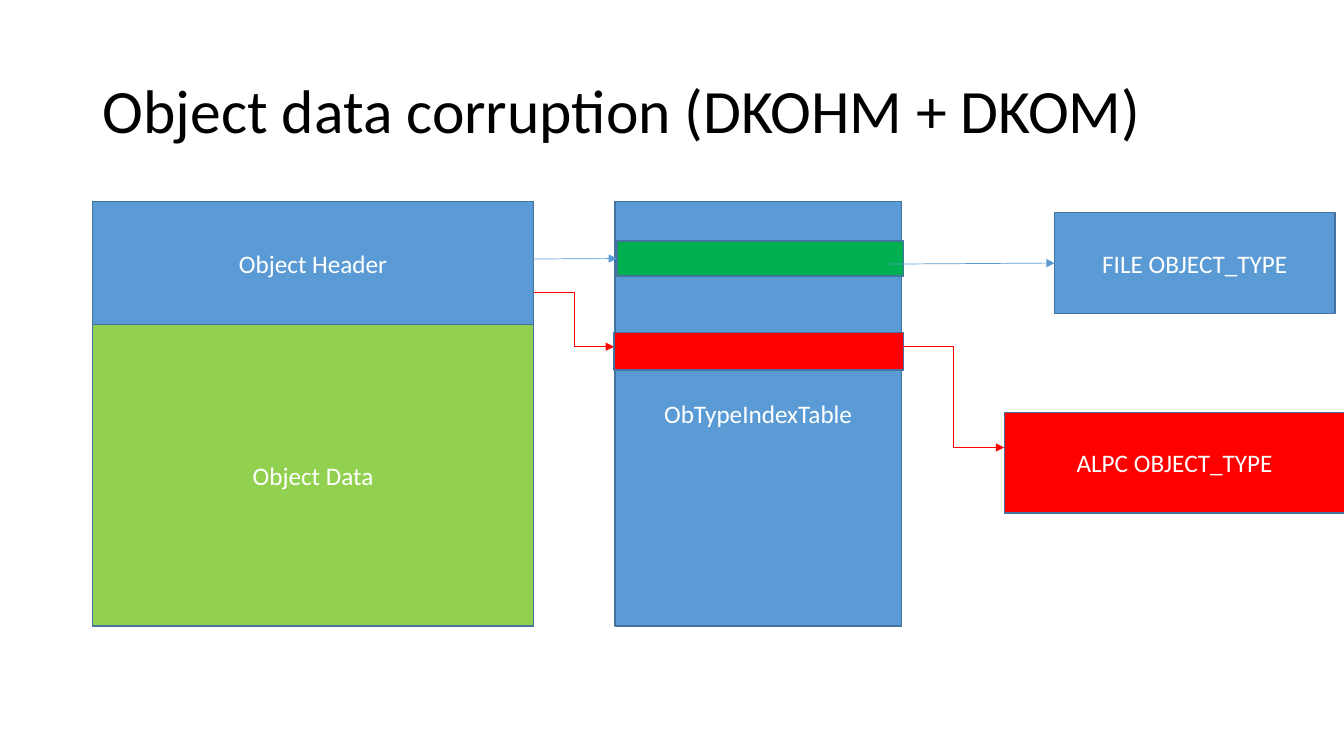
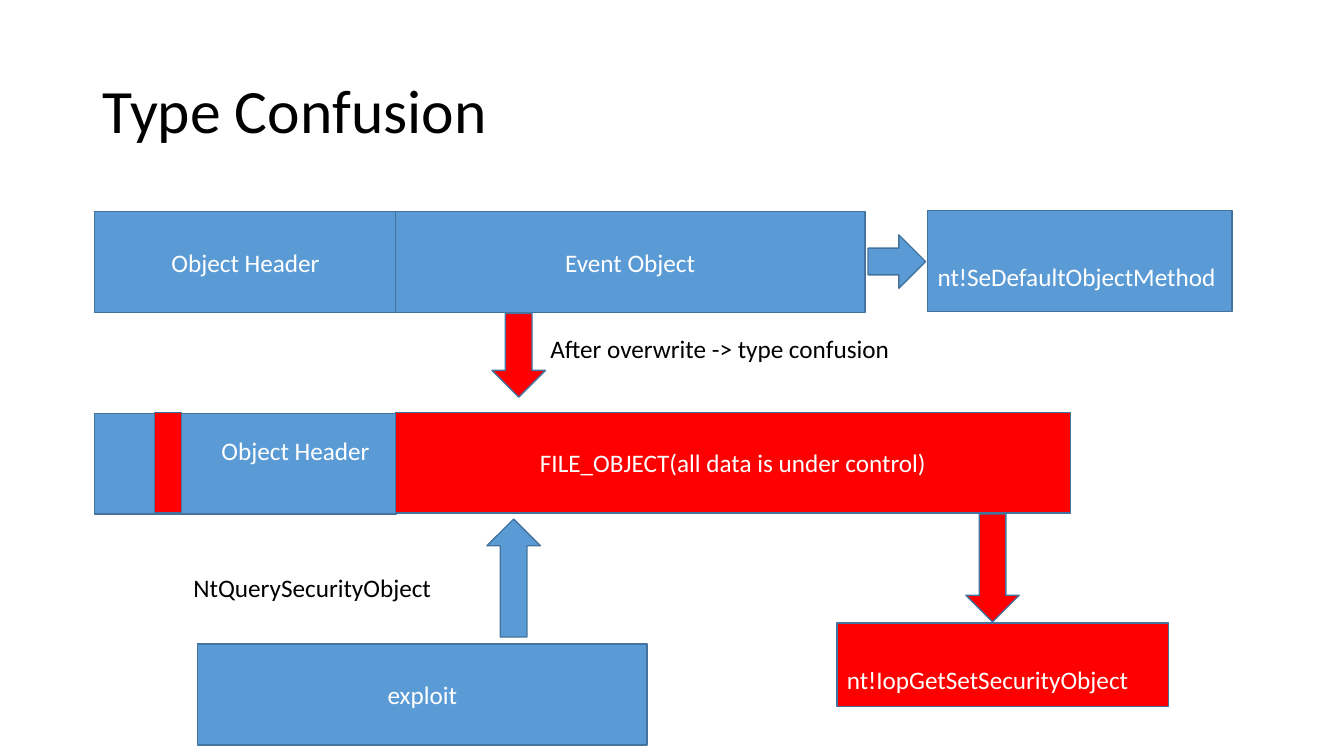
from dataclasses import dataclass

from lxml import etree
from pptx import Presentation
from pptx.dml.color import RGBColor
from pptx.enum.shapes import MSO_CONNECTOR, MSO_SHAPE
from pptx.enum.text import MSO_ANCHOR, MSO_AUTO_SIZE, PP_ALIGN
from pptx.oxml.ns import qn
from pptx.util import Pt

PX = 9144  # EMU per px, 100 px to the inch
RECT = MSO_SHAPE.RECTANGLE
DOWN, UP, RIGHT = MSO_SHAPE.DOWN_ARROW, MSO_SHAPE.UP_ARROW, MSO_SHAPE.RIGHT_ARROW
STRAIGHT, ELBOW = MSO_CONNECTOR.STRAIGHT, MSO_CONNECTOR.ELBOW
LEFT, CENTER = PP_ALIGN.LEFT, PP_ALIGN.CENTER
MIDDLE, TOP = MSO_ANCHOR.MIDDLE, MSO_ANCHOR.TOP
NO_AUTOFIT = MSO_AUTO_SIZE.NONE
TITLE_ONLY = 5
LEFT_SIDE = 1


@dataclass(frozen=True)
class Theme:
    font: str = "Calibri"
    title_size: int = 44
    body_size: int = 18
    outline_width: float = 1
    connector_width: float = 0.5
    black: RGBColor = RGBColor(0x00, 0x00, 0x00)
    white: RGBColor = RGBColor(0xFF, 0xFF, 0xFF)
    blue: RGBColor = RGBColor(0x5B, 0x9B, 0xD5)
    outline: RGBColor = RGBColor(0x43, 0x73, 0x9E)
    lime: RGBColor = RGBColor(0x92, 0xD0, 0x50)
    green: RGBColor = RGBColor(0x00, 0xB0, 0x50)
    red: RGBColor = RGBColor(0xFF, 0x00, 0x00)


THEME = Theme()


def px(*lengths):
    return [length * PX for length in lengths]


def write(frame, text, size, color, align=LEFT, anchor=TOP, spacing=1.0):
    frame.word_wrap = True
    frame.auto_size = NO_AUTOFIT
    frame.vertical_anchor = anchor
    frame.text = text
    para = frame.paragraphs[0]
    para.alignment = align
    para.line_spacing = spacing
    para.font.name = THEME.font
    para.font.size = Pt(size)
    para.font.color.rgb = color


def add_titled_page(deck, text):
    page = deck.slides.add_slide(deck.slide_layouts[TITLE_ONLY])
    title = page.shapes.title
    title.left, title.top, title.width, title.height = px(92, 40, 1150, 145)
    write(title.text_frame, text, THEME.title_size, THEME.black, anchor=MIDDLE, spacing=0.9)
    return page


def add_block(page, at, fill, text="", kind=RECT, align=CENTER, spacing=1.0):
    """Outlined shape with an optional white label."""
    block = page.shapes.add_shape(kind, *px(*at))
    block.shadow.inherit = False
    block.fill.solid()
    block.fill.fore_color.rgb = fill
    block.line.color.rgb = THEME.outline
    block.line.width = Pt(THEME.outline_width)
    if text:
        write(block.text_frame, text, THEME.body_size, THEME.white, align, MIDDLE, spacing)
    return block


def add_label(page, at, text):
    box = page.shapes.add_textbox(*px(*at))
    write(box.text_frame, text, THEME.body_size, THEME.black)


def add_arrow(page, ends, color, kind=STRAIGHT, target=None):
    """Thin arrow; a target box takes the head at the middle of its left side."""
    arrow = page.shapes.add_connector(kind, *px(*ends))
    if target is not None:
        arrow.end_connect(target, LEFT_SIDE)
    arrow.line.color.rgb = color
    arrow.line.width = Pt(THEME.connector_width)
    etree.SubElement(arrow.line._get_or_add_ln(), qn("a:tailEnd"), type="triangle")
    etree.SubElement(arrow._element.spPr, qn("a:effectLst"))


def build_corruption_page(deck):
    page = add_titled_page(deck, "Object data corruption (DKOHM + DKOM)")

    # Object and type table
    add_block(page, (92, 200, 437, 123), THEME.blue, "Object Header")
    add_block(page, (92, 322, 437, 299), THEME.lime, "Object Data")
    add_block(page, (610, 200, 284, 421), THEME.blue, "ObTypeIndexTable")
    valid_entry = add_block(page, (612, 239, 284, 35), THEME.green)

    # Valid type lookup
    file_type = add_block(page, (1046, 211, 278, 100), THEME.blue, "FILE OBJECT_TYPE")
    add_arrow(page, (528, 257, 612, 257), THEME.blue, target=valid_entry)
    add_arrow(page, (883, 262, 1046, 261), THEME.blue, target=file_type)

    # Corrupted type lookup
    add_arrow(page, (530, 290, 609, 344), THEME.red, ELBOW)
    add_block(page, (609, 330, 287, 37), THEME.red)
    add_arrow(page, (896, 344, 996, 444), THEME.red, ELBOW)
    add_block(page, (996, 409, 338, 100), THEME.red, "ALPC OBJECT_TYPE")


def build_confusion_page(deck):
    page = add_titled_page(deck, "Type Confusion")

    # Object before the overwrite
    add_block(page, (94, 210, 299, 100), THEME.blue, "Object Header")
    add_block(page, (392, 210, 466, 100), THEME.blue, "Event Object")
    add_block(page, (861, 233, 57, 53), THEME.blue, kind=RIGHT)
    add_block(page, (920, 209, 302, 100), THEME.blue, "nt!SeDefaultObjectMethod",
              align=LEFT, spacing=2.0)

    # Object after the overwrite, its label clear of the red field
    header = add_block(page, (94, 410, 299, 100), THEME.blue, "Object Header")
    header.text_frame.margin_left, header.text_frame.margin_bottom = px(109, 32)
    add_block(page, (392, 409, 670, 100), THEME.red, "FILE_OBJECT(all data is under control)")
    add_block(page, (153, 409, 27, 100), THEME.red)
    add_block(page, (488, 311, 53, 83), THEME.red, kind=DOWN)
    add_label(page, (536, 326, 406, 40), "After overwrite -> type confusion")

    # Exploit call and resulting method
    add_block(page, (196, 639, 446, 100), THEME.blue, "exploit")
    add_block(page, (483, 515, 53, 117), THEME.blue, kind=UP)
    add_label(page, (182, 563, 267, 40), "NtQuerySecurityObject")
    add_block(page, (958, 510, 53, 107), THEME.red, kind=DOWN)
    add_block(page, (830, 618, 329, 83), THEME.red, "nt!IopGetSetSecurityObject",
              align=LEFT, spacing=2.0)


def main():
    deck = Presentation()
    deck.slide_width, deck.slide_height = px(1333, 750)
    build_corruption_page(deck)
    build_confusion_page(deck)
    deck.save("out.pptx")


if __name__ == "__main__":
    main()
